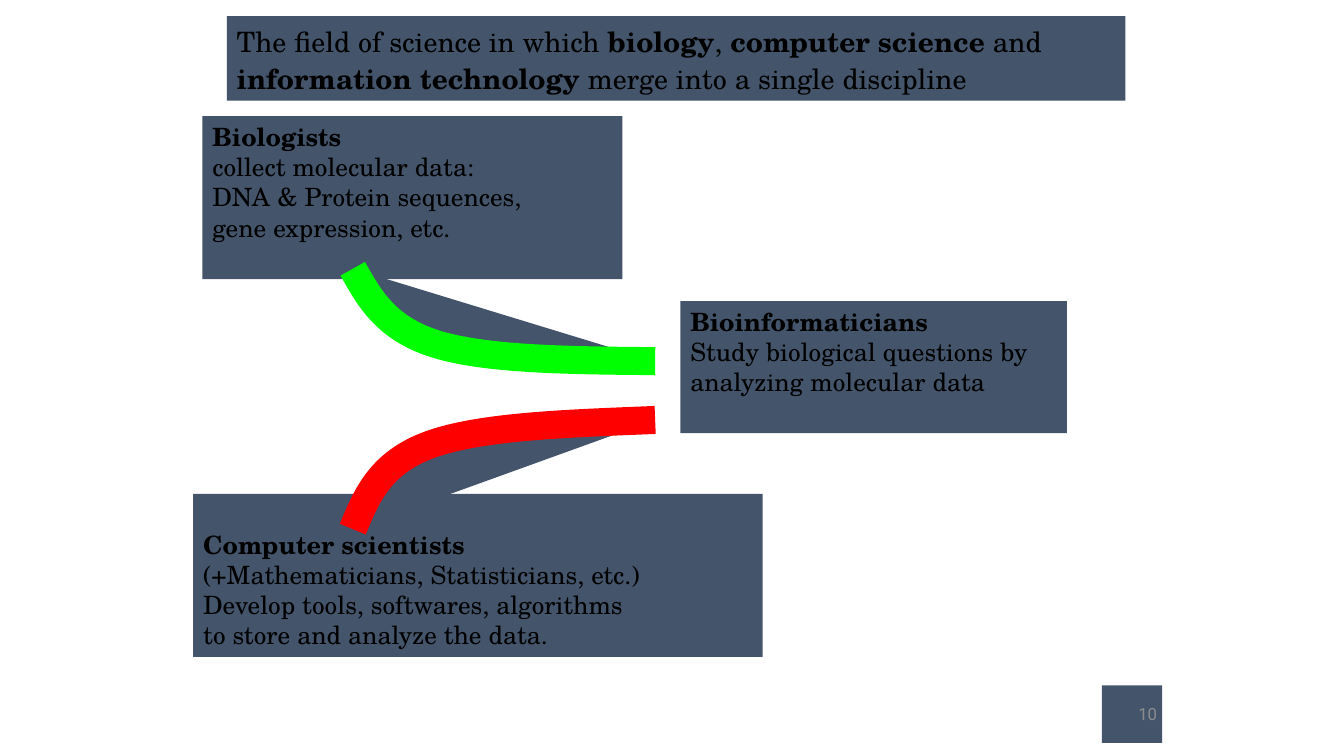
from lxml.etree import SubElement
from pptx import Presentation
from pptx.dml.color import RGBColor
from pptx.enum.shapes import MSO_SHAPE
from pptx.enum.text import MSO_ANCHOR, PP_ALIGN
from pptx.oxml.ns import qn
from pptx.util import Pt

SLATE = RGBColor(0x44, 0x54, 0x6A)
BLACK = RGBColor(0, 0, 0)
GRAY = RGBColor(0x8C, 0x8C, 0x8C)
GREEN = RGBColor(0, 0xFF, 0)
RED = RGBColor(0xFF, 0, 0)
SERIF = "TeX Gyre Schola"
SANS = "Roboto"


def paint(shape):
    shape.shadow.inherit = False
    shape.fill.solid()
    shape.fill.fore_color.rgb = SLATE


def add_box(slide, left, top, width, height, side=7.2, head=3.6):
    box = slide.shapes.add_shape(
        MSO_SHAPE.RECTANGLE, Pt(left), Pt(top), Pt(width), Pt(height))
    paint(box)
    box.line.fill.background()
    frame = box.text_frame
    frame.word_wrap = True
    frame.vertical_anchor = MSO_ANCHOR.TOP
    frame.margin_left = frame.margin_right = Pt(side)
    frame.margin_top, frame.margin_bottom = Pt(head), Pt(3.6)
    return frame


def style(para, size, face=SERIF, color=BLACK, align=PP_ALIGN.LEFT):
    para.alignment = align
    para.font.size = Pt(size)
    para.font.name = face
    para.font.color.rgb = color


def add_role(slide, place, title, lines, head=3.6):
    frame = add_box(slide, *place, head=head)
    for index, text in enumerate([title, *lines]):
        para = frame.add_paragraph() if index else frame.paragraphs[0]
        para.text = text
        style(para, 18)
        para.font.bold = index == 0


def add_banner(slide, place, parts):
    para = add_box(slide, *place).paragraphs[0]
    para.line_spacing = 1.1
    style(para, 20)
    for index, text in enumerate(parts):
        run = para.add_run()
        run.text = text
        run.font.bold = index % 2 == 1


def add_number(slide, place, text):
    frame = add_box(slide, *place, side=3.6)
    frame.vertical_anchor = MSO_ANCHOR.MIDDLE
    para = frame.paragraphs[0]
    para.text = text
    style(para, 12, SANS, GRAY, PP_ALIGN.RIGHT)


def add_curve(slide, points, color):
    start, *rest = [(Pt(x), Pt(y)) for x, y in points]
    form = slide.shapes.build_freeform(*start)
    form.add_line_segments(rest, close=False)
    curve = form.convert_to_shape()
    paint(curve)
    curve.line.color.rgb = color
    curve.line.width = Pt(20)
    steps = list(curve._element.iter(qn("a:lnTo")))
    trace = steps[0].getparent()
    for index, step in enumerate(steps):
        if index % 3 == 0:
            bend = SubElement(trace, qn("a:cubicBezTo"))
        bend.append(step[0])
        trace.remove(step)


def main():
    deck = Presentation()
    deck.slide_width, deck.slide_height = Pt(960), Pt(540)
    slide = deck.slides.add_slide(deck.slide_layouts[6])
    add_role(slide, (144.6, 83, 300, 116.5), "Biologists", [
        "collect molecular data:",
        "DNA & Protein sequences,",
        "gene expression, etc."])
    add_role(slide, (138, 352.8, 406.8, 116.5), "Computer scientists", [
        "(+Mathematicians, Statisticians, etc.)",
        "Develop tools, softwares, algorithms \vto store and analyze the data."],
        head=25)
    add_role(slide, (486, 215, 276, 94.3), "Bioinformaticians", [
        "Study biological questions by analyzing molecular data"])
    add_curve(slide, [
        (252, 192), (264, 213.5), (276, 235), (312, 246),
        (348, 257), (408, 257.5), (468, 258)], GREEN)
    add_curve(slide, [
        (252, 378), (262, 354), (271.5, 330.5), (307.5, 317.5),
        (343.5, 304.5), (406, 302.5), (468, 300)], RED)
    add_banner(slide, (162, 11.5, 642, 60.5), [
        "The field of science in which ", "biology", ", ",
        "computer science", " and ", "information technology",
        " merge into a single discipline"])
    add_number(slide, (787, 489.5, 43.2, 41.2), "10")
    deck.save("out.pptx")


if __name__ == "__main__":
    main()
